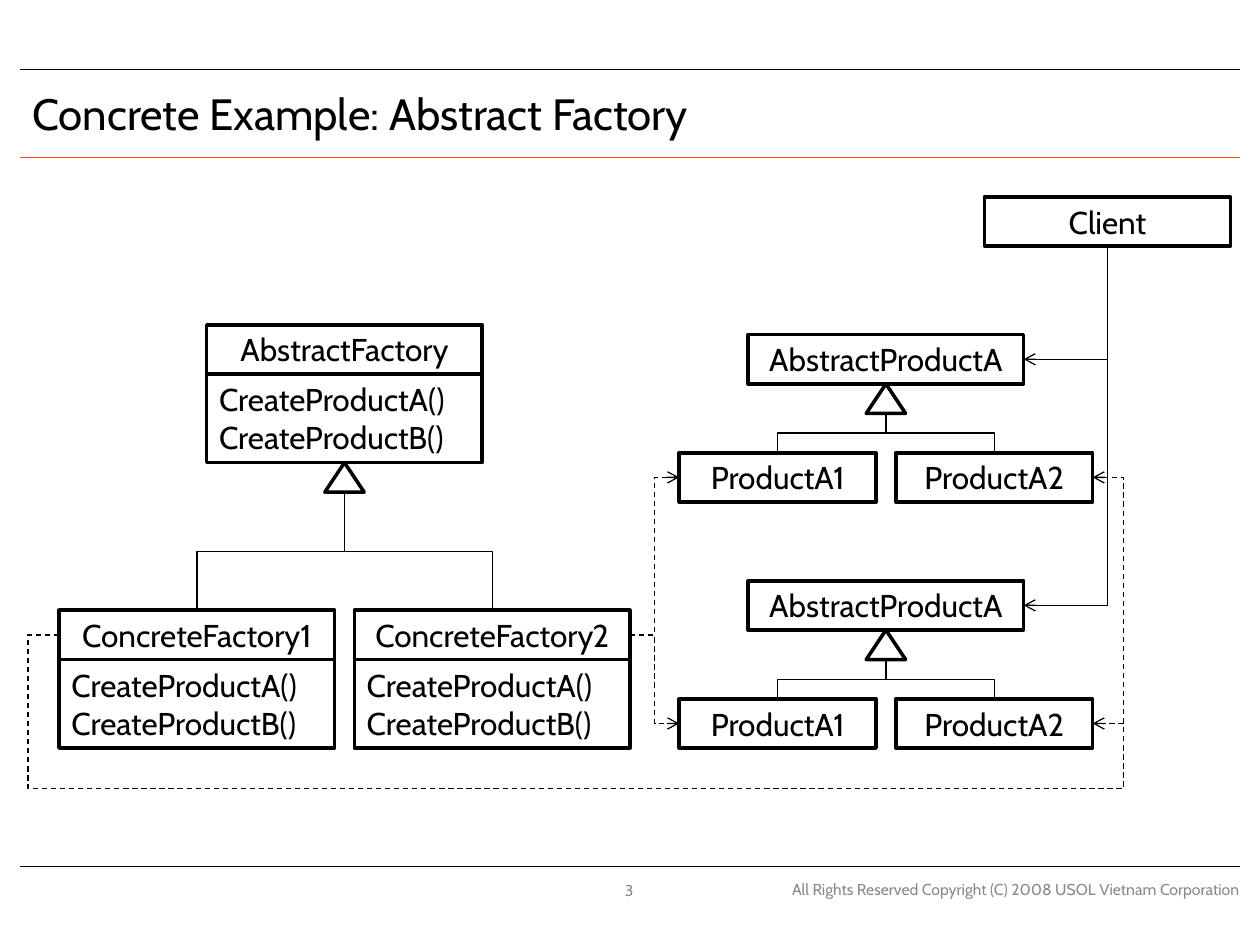
import pptx
import pptx.util
import pptx.dml.color
import pptx.enum.dml
import pptx.enum.shapes
import pptx.enum.text
import pptx.oxml
from pptx.oxml.ns import qn

Pt = pptx.util.Pt
ALIGN = pptx.enum.text.PP_ALIGN
SHAPE = pptx.enum.shapes.MSO_SHAPE

# Content: lengths in points
COLOURS = {"ink": "000000", "paper": "FFFFFF", "accent": "FE4800", "footer": "898989"}
FONT = "Cabin"
RULES = [(39.6, "ink"), (90, "accent"), (495, "ink")]
TEXTS = [  # wording, left, top, width, height, size, colour, alignment
    ("Concrete Example: Abstract Factory", 11.5, 44.6, 697.7, 39.6, 25, "ink", ALIGN.LEFT),
    ("All Rights Reserved Copyright (C) 2008 USOL Vietnam Corporation",
     433.4, 499.7, 281.5, 17.3, 9, "footer", ALIGN.RIGHT),
    ("3", 292.3, 500.4, 134.6, 16.6, 9, "footer", ALIGN.CENTER),
]
METHODS = ["CreateProductA()", "CreateProductB()"]
ABSTRACT_FACTORY = ("AbstractFactory", 118.12, 185.62)
CONCRETE_FACTORIES = [("ConcreteFactory1", 33.75, 348.75), ("ConcreteFactory2", 202.5, 348.75)]
ABSTRACT_PRODUCT = ("AbstractProductA", 427.5)
PRODUCTS = [("ProductA1", 388.12), ("ProductA2", 511.88)]
FAMILY_TOPS = [191.25, 331.88]
CLIENT = ("Client", 562.5, 112.5)

CLASS_WIDTH, PRODUCT_WIDTH, CLIENT_WIDTH = 157.5, 112.5, 140.62
HEADER, BODY = 28.12, 50.62
TRIANGLE_WIDTH, TRIANGLE_HEIGHT = 22.5, 16.88
PRODUCT_DROP = 67.5          # abstract product top to product top
LOOP_MARGIN, LOOP_BOTTOM = 18, 450.6

deck = pptx.Presentation()
deck.slide_width, deck.slide_height = Pt(720), Pt(540)
page = deck.slides.add_slide(deck.slide_layouts[6])


def colour(name):
    return pptx.dml.color.RGBColor.from_string(COLOURS[name])


def write(shape, lines, size, tint, align):
    frame = shape.text_frame
    frame.word_wrap = True
    frame.vertical_anchor = pptx.enum.text.MSO_ANCHOR.MIDDLE
    frame.text = "\n".join(lines)
    for para in frame.paragraphs:
        para.alignment = align
        para.font.name, para.font.size = FONT, Pt(size)
        para.font.color.rgb = colour(tint)


def outline(kind, left, top, width, height):
    shape = page.shapes.add_shape(kind, Pt(left), Pt(top), Pt(width), Pt(height))
    shape.shadow.inherit = False
    shape.fill.solid()
    shape.fill.fore_color.rgb = colour("paper")
    shape.line.color.rgb = colour("ink")
    shape.line.width = Pt(2)
    return shape


def box(lines, left, top, width, height=HEADER, align=ALIGN.CENTER):
    write(outline(SHAPE.RECTANGLE, left, top, width, height), lines, 18, "ink", align)


def class_box(name, left, top):
    box([name], left, top, CLASS_WIDTH)
    box(METHODS, left, top + HEADER, CLASS_WIDTH, BODY, ALIGN.LEFT)


def connect(start, end, kind="line", tint="ink", arrow=False, dashed=False,
            downward=False, adjust=()):
    """Join two points; downward makes the first leg vertical."""
    (x1, y1), (x2, y2) = start, end
    turn = 0
    if downward:  # the frame lies on its side and is turned about its centre
        turn = 90 if x2 < x1 else 270
        mid_x, mid_y = (x1 + x2) / 2, (y1 + y2) / 2
        half_w, half_h = (y2 - y1) / 2, abs(x2 - x1) / 2
        if turn == 270:
            half_w = -half_w
        x1, y1, x2, y2 = mid_x - half_w, mid_y - half_h, mid_x + half_w, mid_y + half_h
    line = page.shapes.add_connector(pptx.enum.shapes.MSO_CONNECTOR.STRAIGHT,
                                     Pt(x1), Pt(y1), Pt(x2), Pt(y2))
    line.line.color.rgb = colour(tint)
    line.line.width = Pt(0.75)
    if dashed:
        line.line.dash_style = pptx.enum.dml.MSO_LINE.DASH
    properties = line._element.spPr
    if turn:
        properties.find(qn("a:xfrm")).set("rot", str(turn * 60000))
    geometry = properties.find(qn("a:prstGeom"))
    geometry.set("prst", kind)
    guides = geometry.find(qn("a:avLst"))
    for number, value in enumerate(adjust, 1):
        guide = pptx.oxml.xmlchemy.OxmlElement("a:gd")
        guide.set("name", f"adj{number}")
        guide.set("fmla", f"val {round(value * 100000)}")
        guides.append(guide)
    if arrow:
        tip = pptx.oxml.xmlchemy.OxmlElement("a:tailEnd")
        tip.set("type", "arrow")
        line.line._get_or_add_ln().append(tip)
    properties.append(pptx.oxml.xmlchemy.OxmlElement("a:effectLst"))


def inherit(centre, bottom, child_centres, child_top):
    """Triangle under a parent, with a branch to each child."""
    outline(SHAPE.ISOSCELES_TRIANGLE, centre - TRIANGLE_WIDTH / 2, bottom,
            TRIANGLE_WIDTH, TRIANGLE_HEIGHT)
    for child in child_centres:
        connect((centre, bottom + TRIANGLE_HEIGHT), (child, child_top),
                "bentConnector3", downward=True)


# Frame of the page
for y, tint in RULES:
    connect((11.25, y), (708.75, y), tint=tint)
for wording, left, top, width, height, size, tint, align in TEXTS:
    text_box = page.shapes.add_textbox(Pt(left), Pt(top), Pt(width), Pt(height))
    write(text_box, [wording], size, tint, align)

# Factories
for factory in [ABSTRACT_FACTORY] + CONCRETE_FACTORIES:
    class_box(*factory)
factory_top = CONCRETE_FACTORIES[0][2]
inherit(ABSTRACT_FACTORY[1] + CLASS_WIDTH / 2, ABSTRACT_FACTORY[2] + HEADER + BODY,
        [left + CLASS_WIDTH / 2 for _, left, _ in CONCRETE_FACTORIES], factory_top)

# Client
client_name, client_left, client_top = CLIENT
box([client_name], client_left, client_top, CLIENT_WIDTH)
client_foot = (client_left + CLIENT_WIDTH / 2, client_top + HEADER)

# Product families, with the client and factory arrows that reach them
factory_middle = factory_top + HEADER / 2
first_start = (CONCRETE_FACTORIES[0][1], factory_middle)
second_start = (CONCRETE_FACTORIES[1][1] + CLASS_WIDTH, factory_middle)
abstract_name, abstract_left = ABSTRACT_PRODUCT
for top in FAMILY_TOPS:
    product_top = top + PRODUCT_DROP
    product_middle = product_top + HEADER / 2
    box([abstract_name], abstract_left, top, CLASS_WIDTH)
    for name, left in PRODUCTS:
        box([name], left, product_top, PRODUCT_WIDTH)
    inherit(abstract_left + CLASS_WIDTH / 2, top + HEADER,
            [left + PRODUCT_WIDTH / 2 for _, left in PRODUCTS], product_top)
    connect(client_foot, (abstract_left + CLASS_WIDTH, top + HEADER / 2),
            "bentConnector2", arrow=True, downward=True)
    connect(second_start, (PRODUCTS[0][1], product_middle),
            "bentConnector3", arrow=True, dashed=True)
    loop_end = (PRODUCTS[1][1] + PRODUCT_WIDTH, product_middle)
    margin = LOOP_MARGIN / (loop_end[0] - first_start[0])
    drop = (LOOP_BOTTOM - factory_middle) / (product_middle - factory_middle)
    connect(first_start, loop_end, "bentConnector5", arrow=True, dashed=True,
            adjust=(-margin, drop, 1 + margin))

deck.save("out.pptx")
